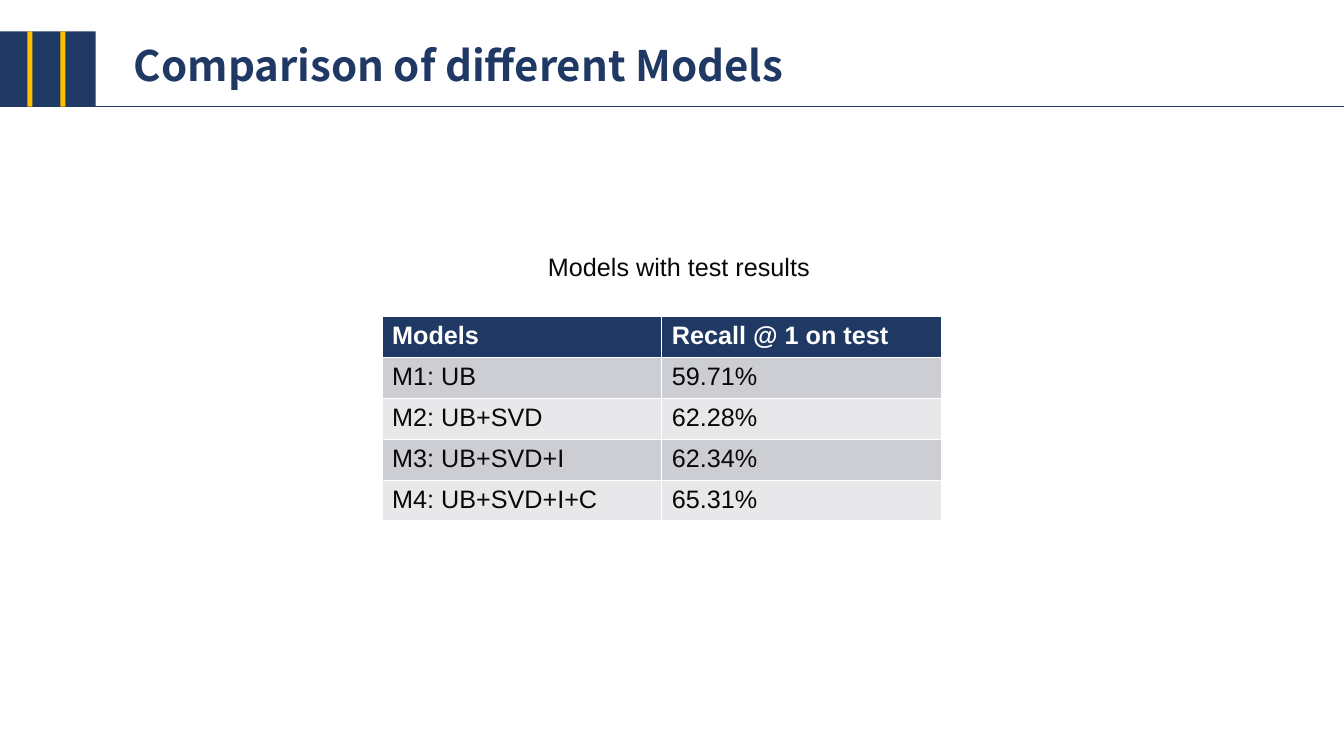
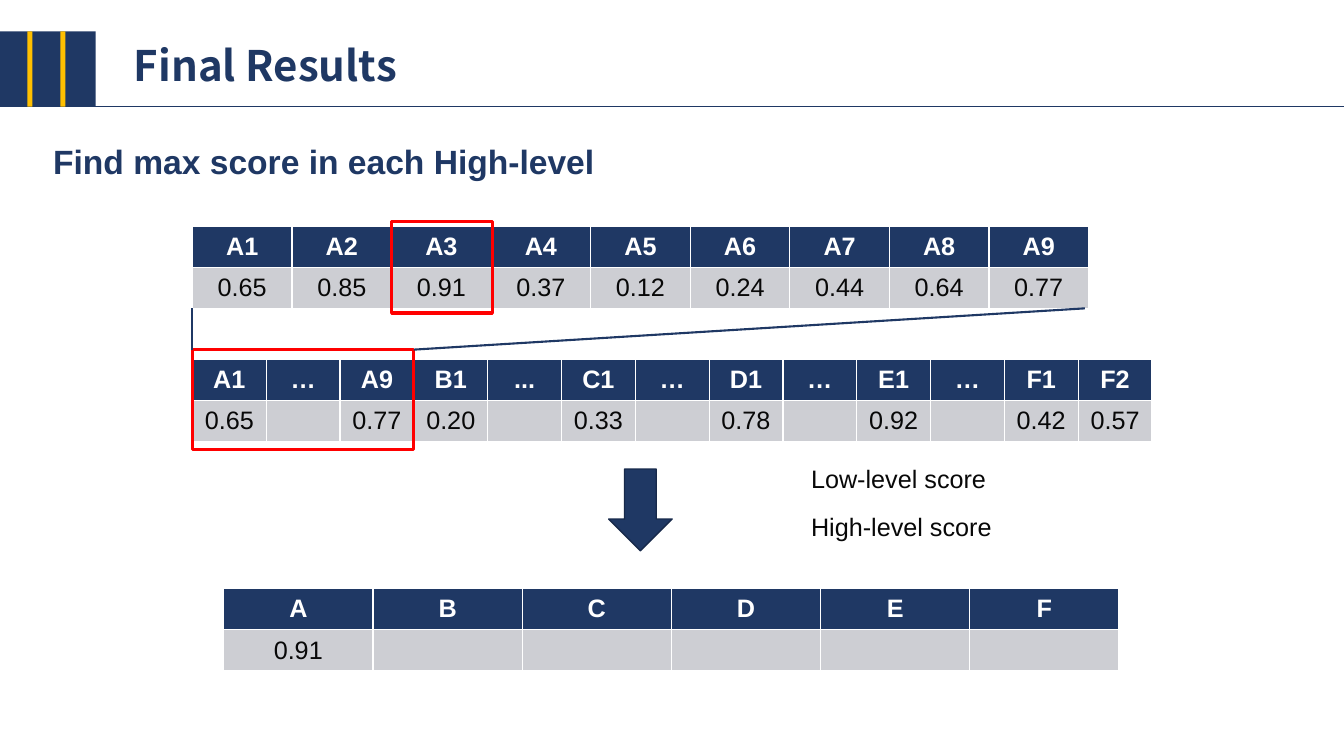
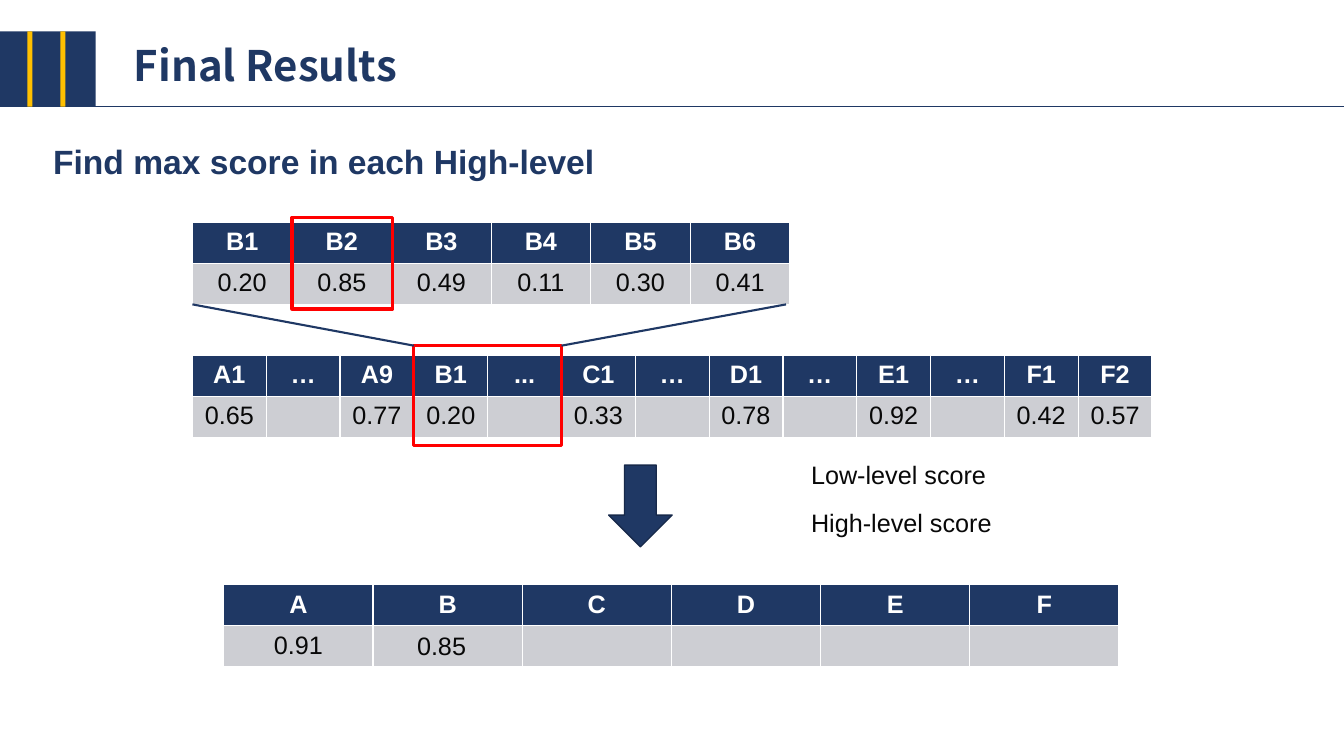
from lxml import etree
from pptx import Presentation
from pptx.dml.color import RGBColor
from pptx.enum.shapes import MSO_CONNECTOR, MSO_SHAPE
from pptx.enum.text import MSO_ANCHOR, MSO_AUTO_SIZE, PP_ALIGN
from pptx.oxml.ns import qn
from pptx.util import Cm, Pt

RECT, DOWN_ARROW = MSO_SHAPE.RECTANGLE, MSO_SHAPE.DOWN_ARROW
STRAIGHT = MSO_CONNECTOR.STRAIGHT
LEFT, CENTER = PP_ALIGN.LEFT, PP_ALIGN.CENTER
TOP, MIDDLE = MSO_ANCHOR.TOP, MSO_ANCHOR.MIDDLE
GROW = MSO_AUTO_SIZE.SHAPE_TO_FIT_TEXT

COLORS = {
    "navy": "1F3864", "edge": "17294A", "gold": "FFC000", "red": "FF0000",
    "white": "FFFFFF", "ink": "080808", "band1": "CDCED3", "band2": "E8E8EA",
}
BODY_FONT, TITLE_FONT = "Arial", "Noto Sans CJK SC"
WIDTH, HEIGHT = 33.87, 19.05
ROW = 1.03


def rgb(name):
    return RGBColor.from_string(COLORS[name])


def write(tf, text, size=18, color="ink", bold=False, font=BODY_FONT,
          align=LEFT, spacing=None, before=None):
    p = tf.paragraphs[0]
    p.alignment = align
    if spacing:
        p.line_spacing = spacing
    if before is not None:
        p.space_before = Pt(before)
    r = p.add_run()
    r.text = text
    r.font.name, r.font.size, r.font.bold = font, Pt(size), bold
    r.font.color.rgb = rgb(color)


class Deck:
    """Holds the presentation, its style and the slide being built."""

    def __init__(self):
        self.prs = Presentation()
        self.prs.slide_width, self.prs.slide_height = Cm(WIDTH), Cm(HEIGHT)
        self.s = None

    def slide(self, title):
        self.s = self.prs.slides.add_slide(self.prs.slide_layouts[5])
        self.shape(RECT, 0, 0.79, 2.41, 1.9, fill="navy")
        self.line(0, 2.69, WIDTH, 2.69, 0.5)
        for x in (0.69, 1.52):
            self.shape(RECT, x, 0.79, 0.13, 1.9, fill="gold")
        sp = self.s.shapes.title
        sp.left, sp.top, sp.width, sp.height = Cm(3.12), Cm(1.02), Cm(18.1), Cm(1.42)
        tf = sp.text_frame
        tf.vertical_anchor, tf.auto_size = TOP, GROW
        write(tf, title, size=30, color="navy", bold=True, font=TITLE_FONT,
              spacing=0.9, before=10)

    def shape(self, kind, x, y, w, h, fill=None, line=None, weight=1):
        sp = self.s.shapes.add_shape(kind, Cm(x), Cm(y), Cm(w), Cm(h))
        sp.shadow.inherit = False
        if fill:
            sp.fill.solid()
            sp.fill.fore_color.rgb = rgb(fill)
        else:
            sp.fill.background()
        if line:
            sp.line.color.rgb, sp.line.width = rgb(line), Pt(weight)
        else:
            sp.line.fill.background()

    def frame(self, x, y, w, h):
        self.shape(RECT, x, y, w, h, line="red", weight=2.25)

    def line(self, x1, y1, x2, y2, weight=1.5):
        c = self.s.shapes.add_connector(STRAIGHT, Cm(x1), Cm(y1), Cm(x2), Cm(y2))
        c.line.color.rgb, c.line.width = rgb("navy"), Pt(weight)
        etree.SubElement(c.element.spPr, qn("a:effectLst"))

    def text(self, text, x, y, w, h=1.02, **fmt):
        tf = self.s.shapes.add_textbox(Cm(x), Cm(y), Cm(w), Cm(h)).text_frame
        tf.word_wrap, tf.auto_size = True, GROW
        write(tf, text, **fmt)

    def table(self, rows, x, y, col, align=CENTER, anchor=MIDDLE):
        """Add a table with a navy header row; col is the width of each column."""
        n, m = len(rows), len(rows[0])
        tbl = self.s.shapes.add_table(n, m, Cm(x), Cm(y), Cm(col * m), Cm(ROW * n)).table
        for column in tbl.columns:
            column.width = Cm(col)
        for i, values in enumerate(rows):
            tbl.rows[i].height = Cm(ROW)
            fill = "navy" if i == 0 else "band1" if i % 2 else "band2"
            for j, value in enumerate(values):
                cell = tbl.cell(i, j)
                cell.fill.solid()
                cell.fill.fore_color.rgb = rgb(fill)
                cell.vertical_anchor = anchor
                if value:
                    write(cell.text_frame, value, bold=i == 0, align=align,
                          color="ink" if i else "white")


LOW_LEVEL = [
    ["A1", "…", "A9", "B1", "...", "C1", "…", "D1", "…", "E1", "…", "F1", "F2"],
    ["0.65", "", "0.77", "0.20", "", "0.33", "", "0.78", "", "0.92", "", "0.42", "0.57"],
]
HIGH_LEVEL = list("ABCDEF")


def max_score_slide(d, top, letter, scores, group, found, best_x, anchor):
    """Show one group of low-level scores and the maximum kept for it.

    group is the first column and column count of the group in LOW_LEVEL,
    found the maxima of earlier groups, best_x the place of the new one.
    """
    left, low_col, detail_col = 4.85, 1.86, 2.51
    best = max(scores)
    first, count = group
    group_x, group_w = left + first * low_col, count * low_col
    detail_bottom, group_top = top + 2 * ROW, top + 3.1
    detail_right = left + len(scores) * detail_col - 0.1

    d.slide("Final Results")
    d.table(LOW_LEVEL, left, top + 3.35, low_col, anchor=anchor)
    d.shape(DOWN_ARROW, 15.34, top + 6.11, 1.6, 2.06, fill="navy", line="edge")
    names = [f"{letter}{i}" for i in range(1, len(scores) + 1)]
    d.table([names, scores], left, top, detail_col, anchor=anchor)
    d.frame(group_x, group_top, group_w, 2.51)
    d.line(left, detail_bottom, group_x, group_top)
    d.line(group_x + group_w, group_top, detail_right, detail_bottom)
    for i, level in enumerate(("Low", "High")):
        d.text(f"{level}-level score", 20.19, top + 5.85 + i * 1.21, 5.92)
    d.frame(left + scores.index(best) * detail_col, top - 0.13, 2.54, 2.31)
    kept = found + [""] * (len(HIGH_LEVEL) - len(found))
    d.table([HIGH_LEVEL, kept], 5.64, top + 9.12, 3.76)
    d.text(best, best_x, top + 10.15, 2.57)
    d.text("Find max score in each High-level", 1.09, 3.53, 18.08, 1.17,
           size=24, color="navy", bold=True, spacing=0.9, before=10)


def main():
    d = Deck()
    d.slide("Comparison of different Models")
    d.table([
        ["Models", "Recall @ 1 on test"],
        ["M1: UB", "59.71%"],
        ["M2: UB+SVD", "62.28%"],
        ["M3: UB+SVD+I", "62.34%"],
        ["M4: UB+SVD+I+C", "65.31%"],
    ], 9.63, 7.98, 7.05, align=LEFT, anchor=TOP)
    d.text("Models with test results", 13.56, 6.22, 7.65)

    max_score_slide(
        d, 5.71, "A",
        ["0.65", "0.85", "0.91", "0.37", "0.12", "0.24", "0.44", "0.64", "0.77"],
        group=(0, 3), found=[], best_x=6.65, anchor=MIDDLE)
    max_score_slide(
        d, 5.61, "B", ["0.20", "0.85", "0.49", "0.11", "0.30", "0.41"],
        group=(3, 2), found=["0.91"], best_x=10.26, anchor=TOP)
    d.prs.save("out.pptx")


if __name__ == "__main__":
    main()
